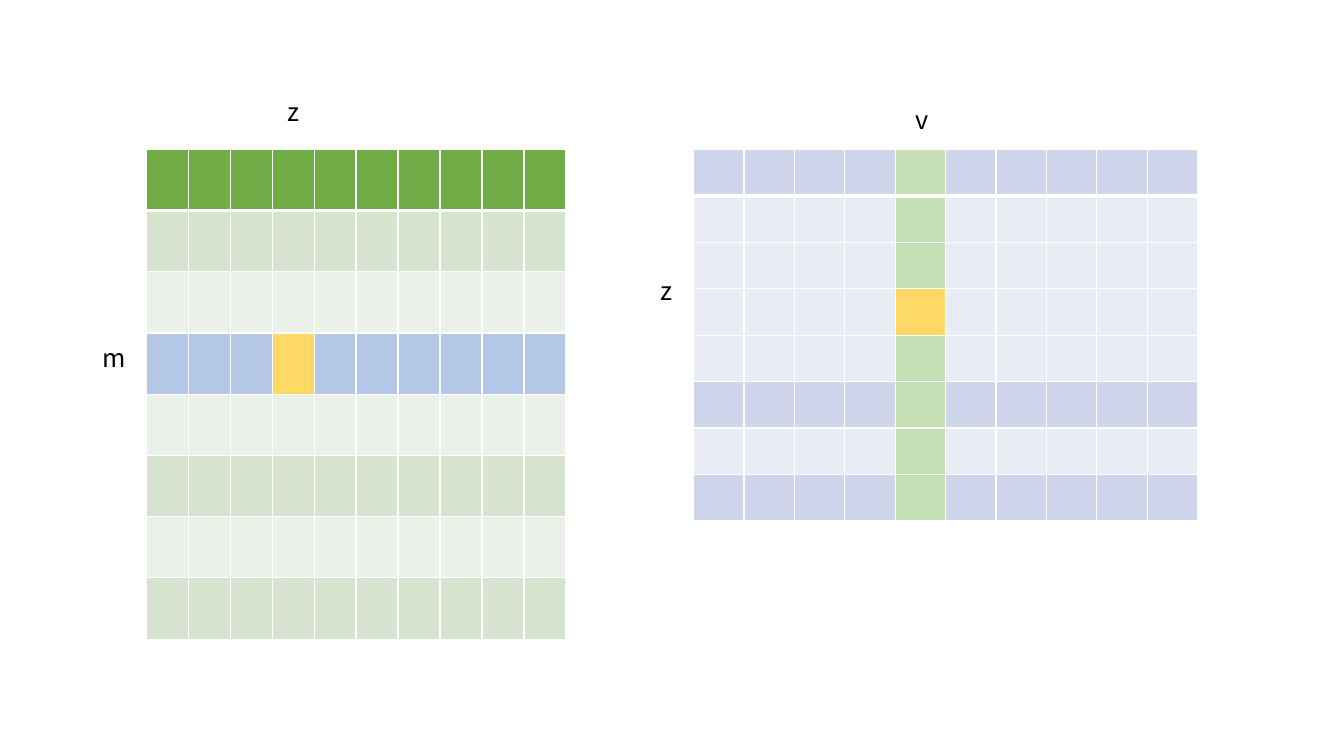
from pptx import Presentation
from pptx.dml.color import RGBColor
from pptx.enum.text import MSO_AUTO_SIZE
from pptx.oxml import parse_xml
from pptx.util import Pt

SHAPE_TO_FIT = MSO_AUTO_SIZE.SHAPE_TO_FIT_TEXT
FONT = "Noto Sans CJK SC"
NAMESPACE = "http://schemas.openxmlformats.org/drawingml/2006/main"
BLACK, WHITE = "000000", "FFFFFF"
LAVENDER, PALE_LAVENDER = "CFD5EA", "E9EBF5"
GREEN, SAGE, PALE_SAGE = "70AD47", "D5E3CF", "EBF1E9"
BLUE, LIGHT_GREEN, YELLOW = "B4C7E7", "C5E0B4", "FFD966"
COLUMN_COUNT = 10
SHARED_ROW = 3

LEFT_ROWS = [GREEN, SAGE, PALE_SAGE, BLUE, PALE_SAGE, SAGE, PALE_SAGE, SAGE]
RIGHT_ROWS = [LAVENDER] + [PALE_LAVENDER] * 4 + [LAVENDER, PALE_LAVENDER, LAVENDER]
LABELS = [
    ("z", 464.4, 193, 23),
    ("v", 646.6, 70.6, 23),
    ("z", 198, 65.5, 23),
    ("m", 66.2, 241.2, 29.5),
]


def rgb(value):
    """Return the colour for a hex string."""
    return RGBColor.from_string(value)


def add_borders(cell, row_index):
    """Draw white cell borders, with a heavy line under the first row."""
    widths = {
        "lnL": 1,
        "lnR": 1,
        "lnT": 3 if row_index == 1 else 1,
        "lnB": 3 if row_index == 0 else 1,
    }
    properties = cell._tc.get_or_add_tcPr()
    for position, (side, width) in enumerate(widths.items()):
        line = parse_xml(
            f'<a:{side} xmlns:a="{NAMESPACE}" w="{Pt(width)}"><a:solidFill>'
            f'<a:srgbClr val="{WHITE}"/></a:solidFill></a:{side}>'
        )
        properties.insert(position, line)


def add_matrix(slide, left, top, column_width, row_height, fills):
    """Add an empty table coloured by a grid of fills."""
    frame = slide.shapes.add_table(
        len(fills), COLUMN_COUNT, Pt(left), Pt(top),
        Pt(column_width * COLUMN_COUNT), Pt(row_height * len(fills)),
    )
    table = frame.table
    table.first_row = False
    table.horz_banding = False
    for column in table.columns:
        column.width = Pt(column_width)
    for row_index, row_fills in enumerate(fills):
        table.rows[row_index].height = Pt(row_height)
        for cell, fill in zip(table.rows[row_index].cells, row_fills):
            cell.fill.solid()
            cell.fill.fore_color.rgb = rgb(fill)
            add_borders(cell, row_index)


def add_label(slide, text, left, top, width):
    """Add a one-letter dimension label."""
    box = slide.shapes.add_textbox(Pt(left), Pt(top), Pt(width), Pt(29))
    frame = box.text_frame
    frame.word_wrap = False
    frame.auto_size = SHAPE_TO_FIT
    para = frame.paragraphs[0]
    para.text = text
    para.font.name = FONT
    para.font.size = Pt(18)
    para.font.color.rgb = rgb(BLACK)


def main():
    """Build the matrix product slide."""
    deck = Presentation()
    deck.slide_width, deck.slide_height = Pt(960), Pt(540)
    slide = deck.slides.add_slide(deck.slide_layouts[6])

    right_fills = [[fill] * COLUMN_COUNT for fill in RIGHT_ROWS]
    for row_fills in right_fills:
        row_fills[4] = LIGHT_GREEN
    right_fills[SHARED_ROW][4] = YELLOW
    left_fills = [[fill] * COLUMN_COUNT for fill in LEFT_ROWS]
    left_fills[SHARED_ROW][3] = YELLOW

    add_matrix(slide, 495.4, 106.6, 36, 33.2, right_fills)
    add_matrix(slide, 104.4, 106.6, 30, 43.74, left_fills)
    for label in LABELS:
        add_label(slide, *label)
    deck.save("out.pptx")


if __name__ == "__main__":
    main()
